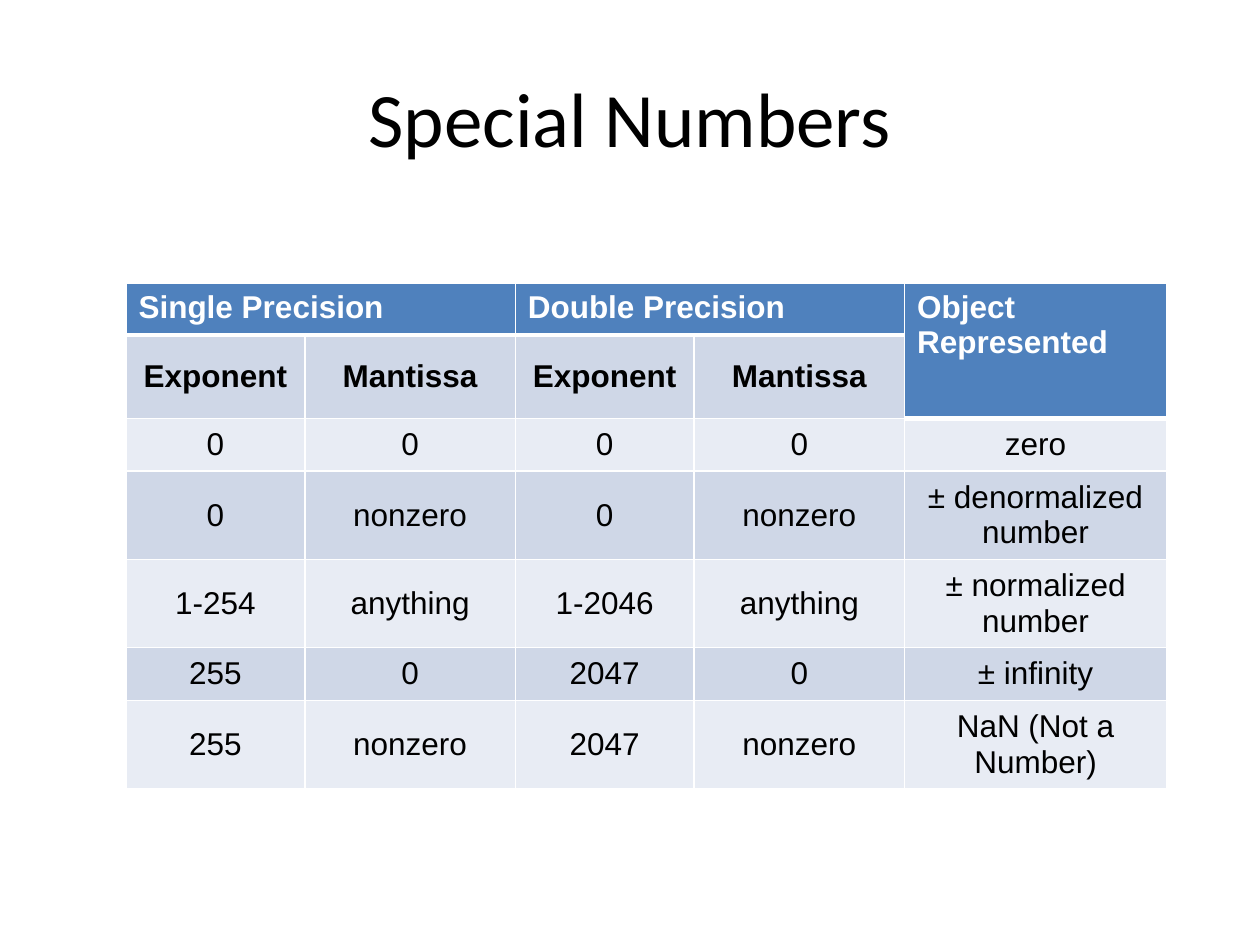
from dataclasses import dataclass

from lxml import etree
from pptx import Presentation
from pptx.dml.color import RGBColor
from pptx.enum.text import MSO_ANCHOR, PP_ALIGN
from pptx.oxml.ns import qn
from pptx.util import Inches, Pt

MIDDLE, TOP = MSO_ANCHOR.MIDDLE, MSO_ANCHOR.TOP
CENTER, LEFT = PP_ALIGN.CENTER, PP_ALIGN.LEFT

COLORS = {
    "header": "4F81BD",
    "dark_band": "CFD7E7",
    "light_band": "E8ECF4",
    "white": "FFFFFF",
    "black": "000000",
}

COL_WIDTHS = (1.42, 1.67, 1.42, 1.67, 2.08)
ROW_HEIGHT = 0.41
ROWS = (
    ("Single Precision", "", "Double Precision", "", "Object Represented"),
    ("Exponent", "Mantissa", "Exponent", "Mantissa", ""),
    ("0", "0", "0", "0", "zero"),
    ("0", "nonzero", "0", "nonzero", "± denormalized number"),
    ("1-254", "anything", "1-2046", "anything", "± normalized number"),
    ("255", "0", "2047", "0", "± infinity"),
    ("255", "nonzero", "2047", "nonzero", "NaN (Not a Number)"),
)
MERGES = (((0, 0), (0, 1)), ((0, 2), (0, 3)), ((0, 4), (1, 4)))


@dataclass(frozen=True)
class CellStyle:
    fill: str
    color: str
    bold: bool
    align: PP_ALIGN
    anchor: MSO_ANCHOR
    inset_x: float
    inset_y: float
    bottom_line: float


def body_style(fill: str, bold: bool = False) -> CellStyle:
    return CellStyle(fill, "black", bold, CENTER, MIDDLE, 0.07, 0.07, 1)


HEADER = CellStyle("header", "white", True, LEFT, TOP, 0.1, 0.05, 3)


def style_for(row: int, col: int) -> CellStyle:
    if row == 0 or (row == 1 and col == 4):
        return HEADER
    return body_style("dark_band" if row % 2 else "light_band", bold=row == 1)


def rgb(name: str) -> RGBColor:
    return RGBColor.from_string(COLORS[name])


def set_borders(cell, bottom: float) -> None:
    tc_pr = cell._tc.get_or_add_tcPr()
    widths = {"a:lnL": 1, "a:lnR": 1, "a:lnT": 1, "a:lnB": bottom}
    for i, (tag, width) in enumerate(widths.items()):
        ln = etree.Element(qn(tag), w=str(Pt(width)))
        fill = etree.SubElement(ln, qn("a:solidFill"))
        etree.SubElement(fill, qn("a:srgbClr"), val=COLORS["white"])
        tc_pr.insert(i, ln)


def fill_cell(cell, text: str, style: CellStyle) -> None:
    cell.fill.solid()
    cell.fill.fore_color.rgb = rgb(style.fill)
    cell.vertical_anchor = style.anchor
    cell.margin_left = cell.margin_right = Inches(style.inset_x)
    cell.margin_top = cell.margin_bottom = Inches(style.inset_y)
    set_borders(cell, style.bottom_line)
    p = cell.text_frame.paragraphs[0]
    p.text = text
    p.alignment = style.align
    p.font.name = "Arial"
    p.font.size = Pt(18)
    p.font.bold = style.bold
    p.font.color.rgb = rgb(style.color)


def add_title(prs, s, text: str) -> None:
    sp = s.shapes.title
    sp.left, sp.top = int(prs.slide_width * 0.05), int(prs.slide_height * 0.04)
    sp.width, sp.height = int(prs.slide_width * 0.9), Inches(1.25)
    tf = sp.text_frame
    tf.vertical_anchor = MIDDLE
    p = tf.paragraphs[0]
    p.text = text
    p.alignment = CENTER
    p.font.name = "Calibri"
    p.font.size = Pt(44)
    p.font.color.rgb = rgb("black")


def add_number_table(prs, s) -> None:
    left, top = int(prs.slide_width * 0.1), int(prs.slide_height * 0.3)
    width, height = Inches(sum(COL_WIDTHS)), Inches(3.98)
    frame = s.shapes.add_table(len(ROWS), len(COL_WIDTHS), left, top, width, height)
    table = frame.table
    for column, col_width in zip(table.columns, COL_WIDTHS):
        column.width = Inches(col_width)
    for row in table.rows:
        row.height = Inches(ROW_HEIGHT)
    frame.height = height
    for r, texts in enumerate(ROWS):
        for c, text in enumerate(texts):
            fill_cell(table.cell(r, c), text, style_for(r, c))
    for first, last in MERGES:
        table.cell(*first).merge(table.cell(*last))


def main() -> None:
    prs = Presentation()
    prs.slide_width, prs.slide_height = Inches(10), Inches(7.5)
    s = prs.slides.add_slide(prs.slide_layouts[5])
    add_title(prs, s, "Special Numbers")
    add_number_table(prs, s)
    prs.save("out.pptx")


if __name__ == "__main__":
    main()
